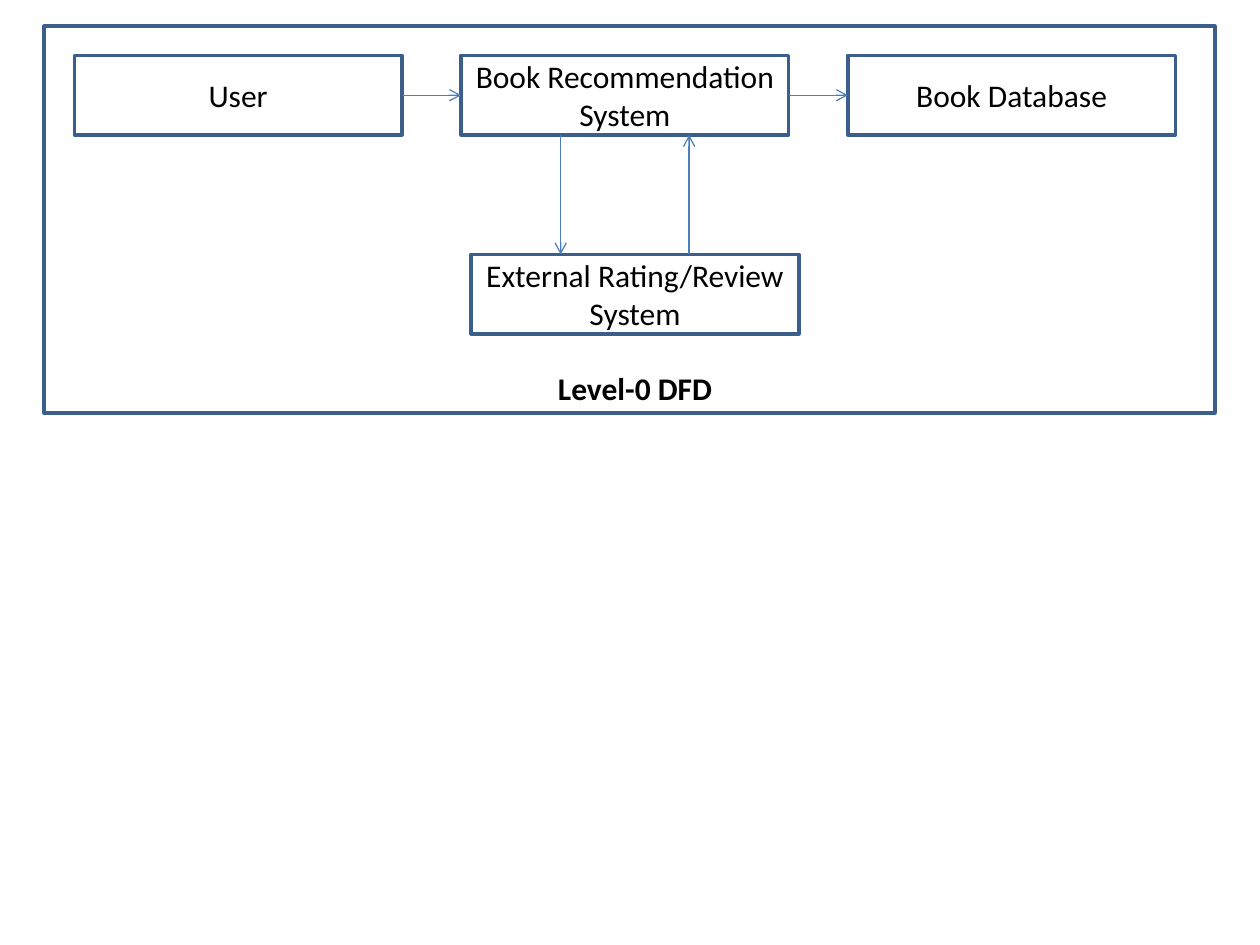
from lxml import etree
from pptx import Presentation
from pptx.dml.color import RGBColor
from pptx.enum.shapes import MSO_CONNECTOR, MSO_SHAPE
from pptx.enum.text import MSO_ANCHOR, PP_ALIGN
from pptx.oxml.ns import qn
from pptx.util import Pt

RECT = MSO_SHAPE.RECTANGLE
STRAIGHT = MSO_CONNECTOR.STRAIGHT
MIDDLE = MSO_ANCHOR.MIDDLE
CENTER = PP_ALIGN.CENTER

COLORS = {"border": "3A5F8C", "arrow": "4B7EBC", "text": "000000"}

BOX_W, BOX_H = 187.2, 45.4
ROW_X, ROW_Y, STEP = 42.5, 31.7, 221
REVIEW_X, REVIEW_Y = 269.3, 145.4


def color(name):
    return RGBColor.from_string(COLORS[name])


def write(sp, text, size=18, bold=False, font="Calibri", fill="text"):
    tf = sp.text_frame
    tf.word_wrap = True
    tf.vertical_anchor = MIDDLE
    p = tf.paragraphs[0]
    p.alignment = CENTER
    r = p.add_run()
    r.text = text
    r.font.name = font
    r.font.size = Pt(size)
    r.font.bold = bold
    r.font.color.rgb = color(fill)


class Diagram:
    """Draws data-flow elements on one slide; lengths are in points."""

    def __init__(self, slide, box_line=2, arrow_line=0.75):
        self.s = slide
        self.box_line = box_line
        self.arrow_line = arrow_line

    def box(self, x, y, w=BOX_W, h=BOX_H, text=None):
        sp = self.s.shapes.add_shape(RECT, Pt(x), Pt(y), Pt(w), Pt(h))
        sp.shadow.inherit = False
        sp.fill.background()
        sp.line.color.rgb = color("border")
        sp.line.width = Pt(self.box_line)
        if text:
            write(sp, text)

    def arrow(self, x1, y1, x2, y2):
        line = self.s.shapes.add_connector(STRAIGHT, Pt(x1), Pt(y1), Pt(x2), Pt(y2))
        line.line.color.rgb = color("arrow")
        line.line.width = Pt(self.arrow_line)
        ln = line.line._get_or_add_ln()
        etree.SubElement(ln, qn("a:tailEnd"), type="arrow")
        etree.SubElement(line._element.spPr, qn("a:effectLst"))

    def label(self, x, y, w, h, text):
        sp = self.s.shapes.add_textbox(Pt(x), Pt(y), Pt(w), Pt(h))
        write(sp, text, bold=True)


def main():
    prs = Presentation()
    prs.slide_width, prs.slide_height = Pt(720), Pt(540)
    d = Diagram(prs.slides.add_slide(prs.slide_layouts[6]))

    row = ["User", "Book Recommendation System", "Book Database"]
    for i, text in enumerate(row):
        d.box(ROW_X + i * STEP, ROW_Y, text=text)
    d.box(REVIEW_X, REVIEW_Y, text="External Rating/Review System")

    mid_y = ROW_Y + BOX_H / 2
    for i in range(len(row) - 1):
        x = ROW_X + i * STEP
        d.arrow(x + BOX_W, mid_y, x + STEP, mid_y)

    row_bottom = ROW_Y + BOX_H
    d.arrow(320.4, row_bottom, 320.4, REVIEW_Y)
    d.arrow(393.8, REVIEW_Y, 393.8, row_bottom)

    d.box(25.2, 15, 669, 221)
    d.label(REVIEW_X, 207.7, BOX_W, 28, "Level-0 DFD")
    prs.save("out.pptx")


if __name__ == "__main__":
    main()
